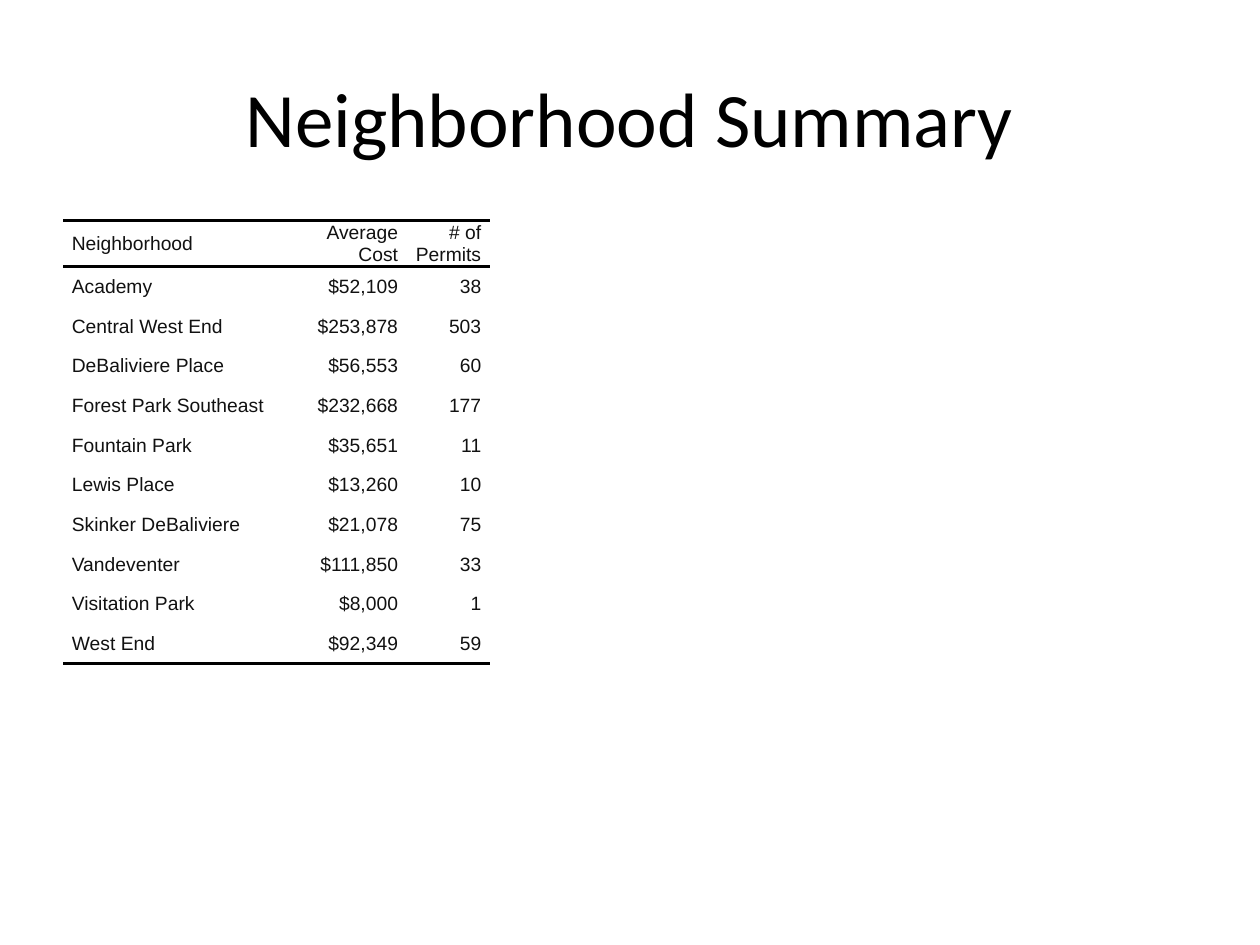
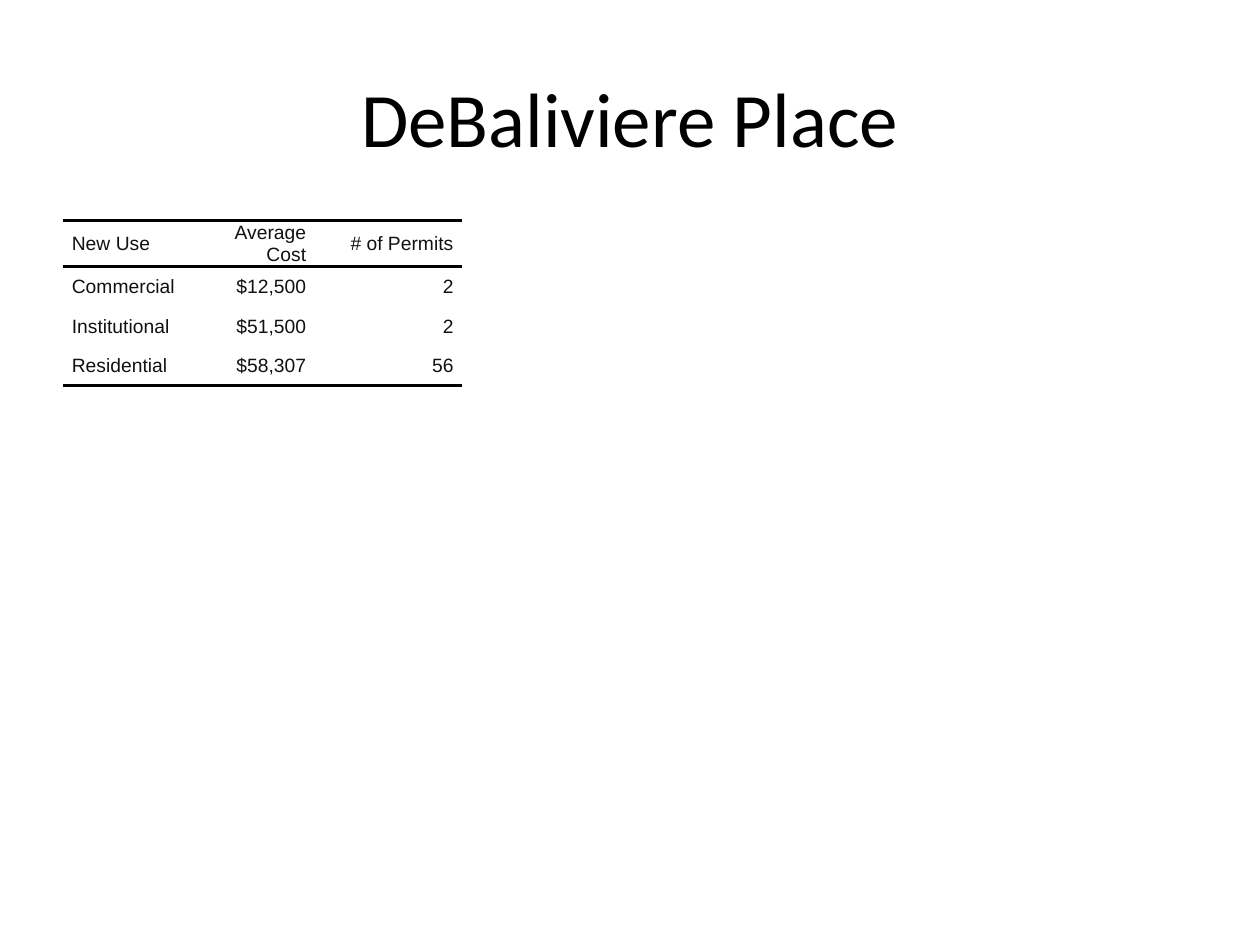
from lxml.etree import SubElement
from pptx import Presentation
from pptx.dml.color import RGBColor
from pptx.enum.text import MSO_ANCHOR as Anchor, PP_ALIGN as Align
from pptx.oxml.ns import qn
from pptx.util import Inches, Pt

SLIDE_WIDTH, SLIDE_HEIGHT = Inches(10), Inches(7.5)
MARGIN = 0.05
TITLE_TOP, TITLE_HEIGHT = 0.04, 1 / 6
TABLE_TOP = 7 / 30
ROW_HEIGHT = Pt(22.7)
CELL_INDENT = Inches(0.07)
BLACK, INK = "000000", "111111"
RULE_WIDTH = Pt(2)
PLAIN_TABLE_STYLE = "{2D5ABB26-0587-4C30-8999-92F81FD0307C}"

NEIGHBORHOODS = [
    ("Neighborhood", "Average Cost", "# of Permits"),
    ("Academy", "$52,109", "38"),
    ("Central West End", "$253,878", "503"),
    ("DeBaliviere Place", "$56,553", "60"),
    ("Forest Park Southeast", "$232,668", "177"),
    ("Fountain Park", "$35,651", "11"),
    ("Lewis Place", "$13,260", "10"),
    ("Skinker DeBaliviere", "$21,078", "75"),
    ("Vandeventer", "$111,850", "33"),
    ("Visitation Park", "$8,000", "1"),
    ("West End", "$92,349", "59"),
]
NEW_USES = [
    ("New Use", "Average Cost", "# of Permits"),
    ("Commercial", "$12,500", "2"),
    ("Institutional", "$51,500", "2"),
    ("Residential", "$58,307", "56"),
]
SUMMARIES = [
    ("Neighborhood Summary", NEIGHBORHOODS, (1.81, 0.92, 0.66)),
    ("DeBaliviere Place", NEW_USES, (1.1, 0.9, 1.17)),
]


def style_font(font, name, size, color):
    font.name = name
    font.size = Pt(size)
    font.color.rgb = RGBColor.from_string(color)


def add_title(slide, title):
    heading = slide.shapes.add_textbox(
        int(SLIDE_WIDTH * MARGIN), int(SLIDE_HEIGHT * TITLE_TOP),
        int(SLIDE_WIDTH * (1 - 2 * MARGIN)), int(SLIDE_HEIGHT * TITLE_HEIGHT))
    frame = heading.text_frame
    frame.word_wrap = True
    frame.vertical_anchor = Anchor.MIDDLE
    frame.text = title
    line = frame.paragraphs[0]
    line.alignment = Align.CENTER
    style_font(line.runs[0].font, "Calibri", 44, BLACK)


def add_rule(cell, side):
    rule = SubElement(cell._tc.get_or_add_tcPr(), qn(f"a:ln{side}"), w=str(RULE_WIDTH))
    fill = SubElement(rule, qn("a:solidFill"))
    SubElement(fill, qn("a:srgbClr"), val=BLACK)


def fill_cell(cell, entry, alignment, rule_sides):
    cell.margin_left = cell.margin_right = cell.margin_top = cell.margin_bottom = 0
    cell.vertical_anchor = Anchor.MIDDLE
    for side in rule_sides:
        add_rule(cell, side)
    cell.fill.background()
    cell.text_frame.text = entry
    line = cell.text_frame.paragraphs[0]
    line.alignment = alignment
    line.space_before = line.space_after = Pt(2)
    indents = line._p.get_or_add_pPr()
    for margin in ("marL", "marR"):
        indents.set(margin, str(CELL_INDENT))
    style_font(line.runs[0].font, "Arial", 11, INK)


def add_summary_table(slide, entries, column_widths):
    table = slide.shapes.add_table(
        len(entries), len(column_widths),
        int(SLIDE_WIDTH * MARGIN), int(SLIDE_HEIGHT * TABLE_TOP),
        Inches(sum(column_widths)), ROW_HEIGHT * len(entries)).table
    table.first_row = table.horz_banding = False
    table._tbl.tblPr.find(qn("a:tableStyleId")).text = PLAIN_TABLE_STYLE
    for column, width in zip(table.columns, column_widths):
        column.width = Inches(width)
    rules = {0: "TB", len(entries) - 1: "B"}
    for row, record in enumerate(entries):
        for column, entry in enumerate(record):
            alignment = Align.RIGHT if column else Align.LEFT
            fill_cell(table.cell(row, column), entry, alignment, rules.get(row, ""))


def main():
    deck = Presentation()
    deck.slide_width, deck.slide_height = SLIDE_WIDTH, SLIDE_HEIGHT
    for title, entries, column_widths in SUMMARIES:
        slide = deck.slides.add_slide(deck.slide_layouts[6])
        add_title(slide, title)
        add_summary_table(slide, entries, column_widths)
    deck.save("out.pptx")


if __name__ == "__main__":
    main()
